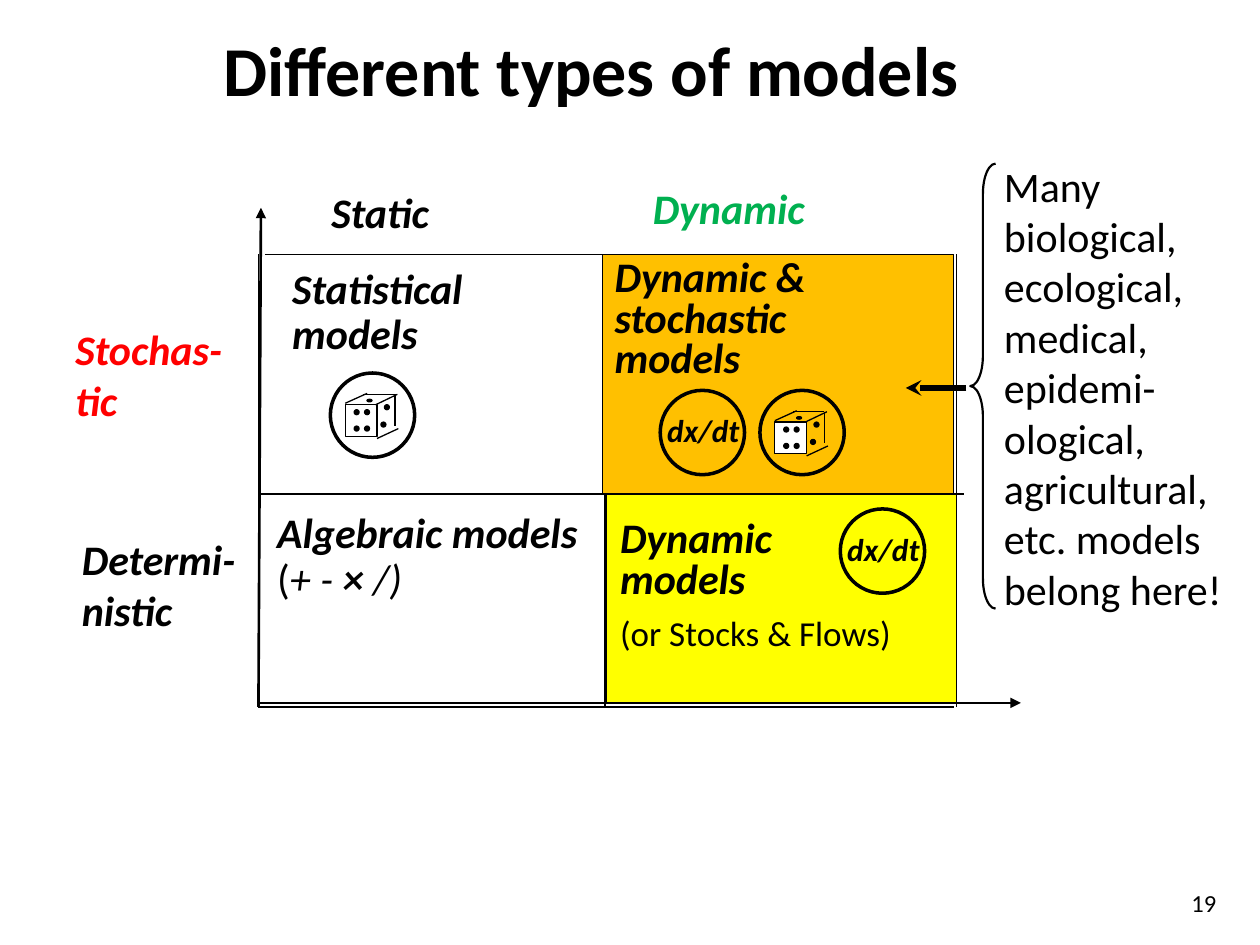
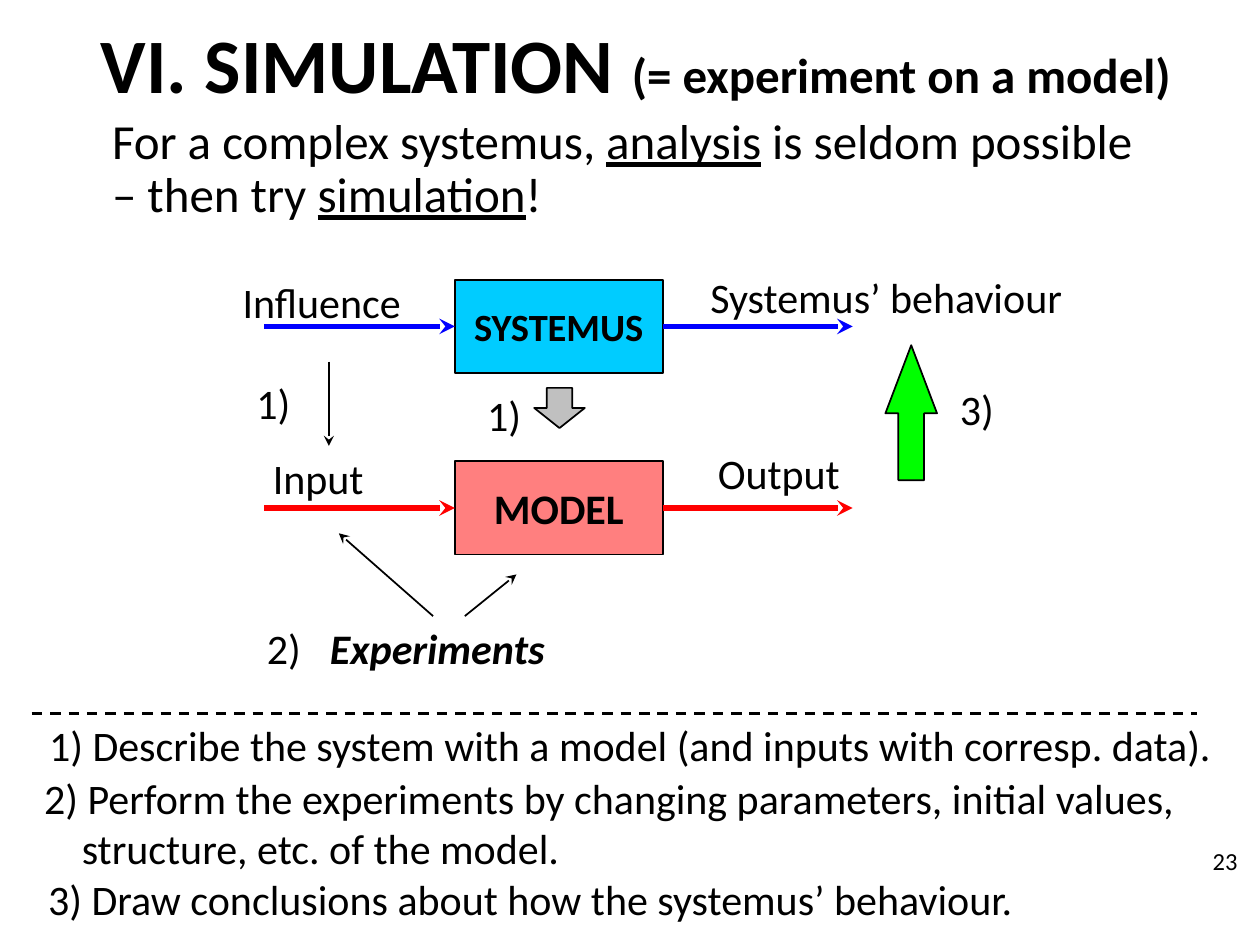
from lxml import etree
from pptx import Presentation
from pptx import util as u
from pptx.dml.color import RGBColor
from pptx.enum import dml, shapes, text
from pptx.oxml.ns import qn

FONT = "Calibri"
BLACK, WHITE = "000000", "FFFFFF"
RED, GREEN, BLUE = "FF0000", "00B050", "0000FF"
ORANGE, YELLOW = "FFC000", "FFFF00"
CYAN, LIME, GREY = "00CCFF", "00FF00", "C0C0C0"
TOP, MIDDLE, BOTTOM = (text.MSO_ANCHOR.TOP, text.MSO_ANCHOR.MIDDLE,
                       text.MSO_ANCHOR.BOTTOM)
LEFT, CENTER, RIGHT = text.PP_ALIGN.LEFT, text.PP_ALIGN.CENTER, text.PP_ALIGN.RIGHT
KIND = shapes.MSO_SHAPE


def rgb(value):
    """Turn a hex string into a colour."""
    return RGBColor.from_string(value)


def style_font(font, size=None, color=None, **flags):
    """Set size, colour and any of bold, italic and underline."""
    if size:
        font.size = u.Pt(size)
    if color:
        font.color.rgb = rgb(color)
    for name, value in flags.items():
        setattr(font, name, value)


def write(frame, paragraphs, size=24, color=BLACK, anchor=TOP, align=LEFT,
          spacing=None, **flags):
    """Fill a text frame; a paragraph is a string or a list of (text, style) runs."""
    frame.word_wrap = True
    frame.auto_size = text.MSO_AUTO_SIZE.NONE
    frame.vertical_anchor = anchor
    for index, runs in enumerate(paragraphs):
        paragraph = frame.paragraphs[0] if index == 0 else frame.add_paragraph()
        paragraph.alignment = align
        if spacing:
            paragraph.line_spacing = spacing
        paragraph.font.name = FONT
        style_font(paragraph.font, size, color, **flags)
        for words, style in [(runs, {})] if isinstance(runs, str) else runs:
            run = paragraph.add_run()
            run.text = words
            style_font(run.font, **style)
    return frame


class Region:
    """A part of a slide whose contents are placed from its own corner, in cm."""

    def __init__(self, slide, left, top):
        """Remember the slide and the corner."""
        self.slide, self.left, self.top = slide, left, top

    def inner(self, left, top):
        """Return a region inside this one."""
        return Region(self.slide, self.left + left, self.top + top)

    def point(self, x, y):
        """Return slide coordinates of a point of the region."""
        return u.Cm(self.left + x), u.Cm(self.top + y)

    def label(self, left, top, width, height, *paragraphs, **style):
        """Add a text box."""
        box = self.slide.shapes.add_textbox(
            *self.point(left, top), u.Cm(width), u.Cm(height))
        return write(box.text_frame, paragraphs, **style)

    def shape(self, kind, left, top, width, height, fill=None, weight=0.75):
        """Add an outlined preset shape."""
        shape = self.slide.shapes.add_shape(
            kind, *self.point(left, top), u.Cm(width), u.Cm(height))
        shape.shadow.inherit = False
        if fill:
            shape.fill.solid()
            shape.fill.fore_color.rgb = rgb(fill)
        else:
            shape.fill.background()
        shape.line.color.rgb = rgb(BLACK)
        shape.line.width = u.Pt(weight)
        return shape

    def line(self, x1, y1, x2, y2, color=BLACK, weight=1.0, head=None):
        """Add a straight line, with an arrowhead at its end if one is named."""
        line = self.slide.shapes.add_connector(
            shapes.MSO_CONNECTOR.STRAIGHT, *self.point(x1, y1), *self.point(x2, y2))
        line.line.color.rgb = rgb(color)
        line.line.width = u.Pt(weight)
        if head:
            etree.SubElement(line.line._get_or_add_ln(), qn("a:tailEnd"), type=head)
        etree.SubElement(line._element.spPr, qn("a:effectLst"))
        return line


def add_slide(presentation, title, box, number, number_place, **style):
    """Add a title-only slide with its title and page number."""
    slide = presentation.slides.add_slide(presentation.slide_layouts[5])
    holder = slide.shapes.title
    holder.left, holder.top, holder.width, holder.height = map(u.Cm, box)
    write(holder.text_frame, [title], align=CENTER, bold=True, **style)
    Region(slide, *number_place).label(
        0, 0, 1.07, 1.27, number, size=14, align=RIGHT)
    return slide


def add_die(region):
    """Draw a die in a circle."""
    region.shape(KIND.OVAL, 0, 0, 1.7, 1.7, weight=2)
    region.shape(KIND.RECTANGLE, 0.3, 0.64, 0.64, 0.64, WHITE)
    for edge in ((1.3, 0.43, 1.3, 1.07), (1.3, 0.43, 0.66, 0.43),
                 (0.3, 0.61, 0.74, 0.41), (0.91, 0.64, 1.35, 0.43),
                 (0.94, 1.32, 1.37, 1.12)):
        region.line(*edge, weight=0.75)
    front = [(x, y) for x in (0.48, 0.69) for y in (0.74, 1.07)]
    for x, y in front + [(1.02, 0.99), (1.09, 0.64)]:
        region.shape(KIND.OVAL, x, y, 0.1, 0.1, BLACK)
    region.shape(KIND.OVAL, 0.74, 0.53, 0.1, 0.05, BLACK)


def add_derivative(region):
    """Draw dx/dt in a circle."""
    region.shape(KIND.OVAL, 0, 0, 1.7, 1.7, weight=2)
    region.label(-0.11, 0.3, 2.01, 1.02, "dx/dt", size=18, bold=True, italic=True)


def add_matrix(region):
    """Draw the two-by-two matrix of model types with its axes."""
    width, height, column, row = 14.07, 9.12, 6.98, 4.83
    strong = {"bold": True, "italic": True}
    plain = {"bold": False, "italic": False}
    for edge in ((column, 0, column, height), (0, height, 14.02, height),
                 (0, row, 14.22, row), (0.13, 0, 14.02, 0),
                 (0, 0, 0, height), (width, 0, width, height)):
        region.line(*edge)

    region.label(-3.94, 1.27, 4.14, 2.31, "Stochas-tic", color=RED, **strong)
    region.label(-3.81, 5.51, 4.01, 2.31, "Determi-nistic", **strong)
    region.label(1.22, -1.5, 4.11, 1.3, "Static", **strong)
    region.label(7.7, -1.57, 5.51, 1.3, "Dynamic", color=GREEN, **strong)

    region.label(0.43, 0.15, 5.72, 3.43, "Statistical models", spacing=0.9, **strong)
    add_die(region.inner(1.45, 2.39))

    region.label(0.13, 5.08, 6.91, 2.11,
                 [("Algebraic models ", {}), ("(", plain), ("+ - ", {"bold": False}),
                  ("×", {}), (" /)", {"bold": False})], spacing=0.9, **strong)

    stochastic = region.shape(KIND.RECTANGLE, 6.93, 0, 7.09, row, ORANGE)
    write(stochastic.text_frame, ["Dynamic &", "stochastic", "models"],
          spacing=0.8, **strong)
    add_derivative(region.inner(8.1, 2.74))
    add_die(region.inner(10.11, 2.74))

    region.shape(KIND.RECTANGLE, 7.01, row, 7.06, 4.22, YELLOW)
    dynamic = region.label(
        7.04, 5.26, 6.68, 3.02, "Dynamic", "models",
        [("(or Stocks & Flows)", {"size": 20, **plain})], spacing=0.8, **strong)
    dynamic.paragraphs[2].line_spacing = 0.9
    dynamic.paragraphs[2].space_before = u.Pt(8)
    add_derivative(region.inner(11.73, 5.13))

    region.line(0, height, 0.05, -0.94, weight=1.5, head="triangle")
    region.line(-0.03, 9.04, 15.37, 9.04, weight=1.5, head="triangle")


def add_remark(region):
    """Draw the braced remark that points into the matrix."""
    region.label(0.43, -0.25, 5.51, 9.5, "Many biological,", "ecological, medical,",
                 "epidemi-ological, agricultural, etc. models belong here!",
                 anchor=MIDDLE)
    brace = region.shape(KIND.LEFT_BRACE, 0, 0, 0.51, 8.97, weight=1.25)
    brace.adjustments[0] = 1.194
    region.line(-0.08, 4.52, -1.3, 4.52, weight=3, head="stealth")


def add_flow(region, name, size, fill, arrow_color):
    """Draw a named box with an arrow into it and one out of it."""
    box = region.shape(KIND.RECTANGLE, 3.84, 0, 4.19, 1.88, fill, weight=1)
    write(box.text_frame, [name], size, anchor=MIDDLE, align=CENTER, bold=True)
    arrow = {"color": arrow_color, "weight": 3, "head": "stealth"}
    region.line(0, 0.94, 3.84, 0.94, **arrow).end_connect(box, 1)
    region.line(8.03, 0.94, 11.86, 0.94, **arrow).begin_connect(box, 3)
    return box


def add_experiment(region):
    """Draw the systemus, its model and the three steps between them."""
    add_flow(region, "SYSTEMUS", 22, CYAN, BLUE)
    model = add_flow(region.inner(0, 3.66), "MODEL", 24, RED, RED)
    color = model.fill._xPr.find(qn("a:solidFill"))[0]
    etree.SubElement(color, qn("a:alpha"), val="50000")

    for left, top, width, words in (
            (-0.69, -0.2, 4.65, "Influence"), (8.74, -0.3, 8.05, "Systemus’ behaviour"),
            (-0.08, 3.35, 2.74, "Input"), (8.89, 3.25, 4.65, "Output"),
            (-0.41, 1.85, 1.47, "1)"), (4.24, 2.08, 1.47, "1)"),
            (-0.2, 6.78, 1.47, "2)"), (13.77, 1.96, 1.47, "3)")):
        region.label(left, top, width, 1.3, words)
    region.label(1.07, 6.78, 7.67, 1.3, "Experiments", bold=True, italic=True)

    up = region.shape(KIND.UP_ARROW, 12.52, 1.32, 1.04, 2.72, LIME, weight=1)
    up.adjustments[1] = 1.32
    region.shape(KIND.DOWN_ARROW, 5.44, 2.18, 1.02, 0.81, GREY, weight=1)
    for ends in ((1.3, 1.65, 1.3, 3.35), (4.04, 6.78, 5.08, 5.94),
                 (3.4, 6.78, 1.5, 5.11)):
        region.line(*ends, head="stealth")


def add_steps(region):
    """List the three steps under a dashed rule."""
    rule = region.line(0, 0, 23.5, 0, weight=1.5)
    rule.line.dash_style = dml.MSO_LINE.DASH
    region.label(0.1, 0, 24.23, 1.27,
                 "1) Describe the system with a model (and inputs with corresp. data).")
    second = region.label(
        0, 1.07, 24.05, 2.31,
        "2) Perform the experiments by changing parameters, initial values,",
        "structure, etc. of the model.")
    second.paragraphs[1]._p.get_or_add_pPr().set("marL", str(u.Cm(0.76)))
    region.label(0.08, 3.1, 24.05, 1.27,
                 "3) Draw conclusions about how the systemus’ behaviour.")


def add_model_types(presentation):
    """Build the slide on types of models."""
    slide = add_slide(presentation, "Different types of models",
                      (0.84, 0.2, 22.15, 2.16), "19", (23.7, 17.78),
                      size=40, anchor=BOTTOM)
    add_matrix(Region(slide, 5.21, 5.13))
    add_remark(Region(slide, 19.56, 3.3))


def add_simulation(presentation):
    """Build the slide on simulation."""
    title = [("VI. SIMULATION ", {}), ("(= experiment on a model)", {"size": 28})]
    slide = add_slide(presentation, title, (0.43, 0.2, 24.77, 2.13),
                      "23", (24.13, 16.94), size=44, anchor=TOP)
    underlined = {"underline": True}
    Region(slide, 2.01, 2.08).label(
        0, 0, 21.59, 2.54,
        [("For a complex systemus, ", {}), ("analysis", underlined),
         (" is seldom possible – then try ", {}), ("simulation", underlined), ("!", {})],
        size=28, anchor=BOTTOM, spacing=0.9)
    add_experiment(Region(slide, 5.33, 5.64))
    add_steps(Region(slide, 0.64, 14.38))


def main():
    """Build and save the presentation."""
    presentation = Presentation()
    presentation.slide_width, presentation.slide_height = u.Cm(25.4), u.Cm(19.05)
    add_model_types(presentation)
    add_simulation(presentation)
    presentation.save("out.pptx")


if __name__ == "__main__":
    main()
